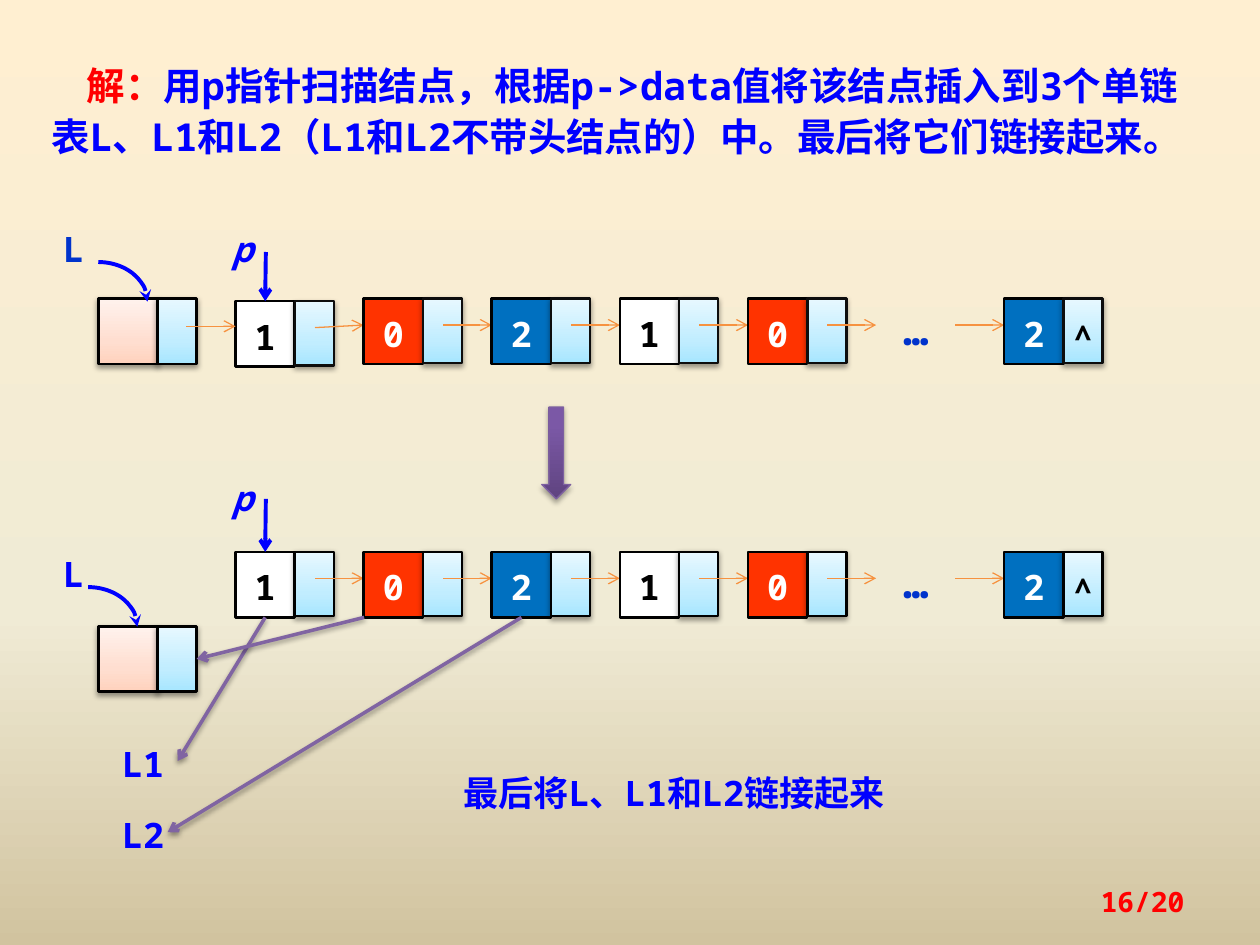
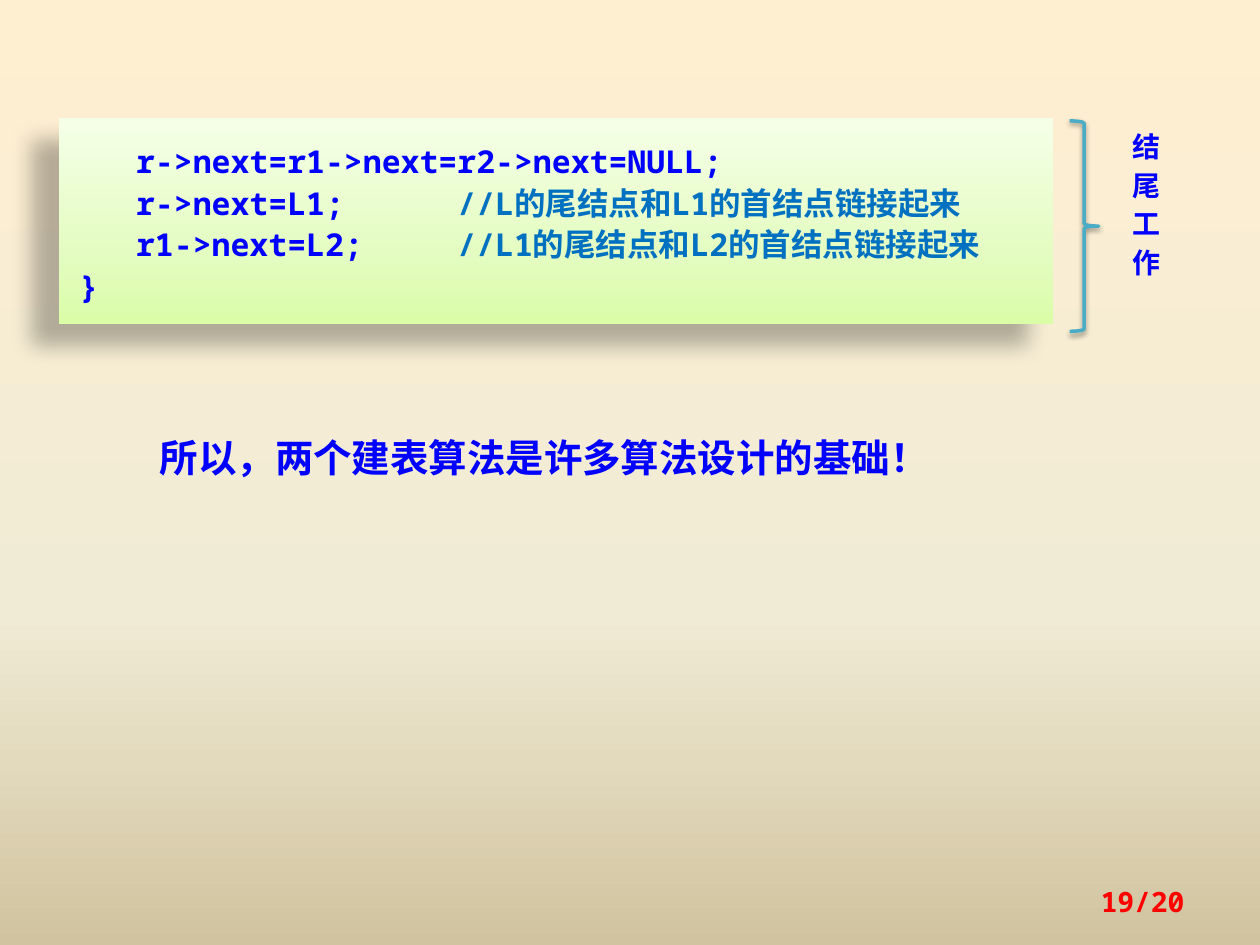
from lxml.etree import SubElement
from pptx import Presentation
from pptx.dml.color import RGBColor
from pptx.enum.shapes import MSO_CONNECTOR, MSO_SHAPE
from pptx.enum.text import MSO_ANCHOR, MSO_AUTO_SIZE, PP_ALIGN
from pptx.oxml.ns import qn
from pptx.util import Inches, Pt

MONO, CJK = "Noto Sans Mono", "Noto Sans CJK SC"
BLUE, DEEP_BLUE, COMMENT_BLUE, RED = "0000FF", "0033CC", "0070C0", "FF0000"
BLACK, WHITE, ORANGE, PURPLE = "000000", "FFFFFF", "F69240", "8064A2"
SAND = [(0, "FFEFD1"), (65, "F0EBD5"), (100, "D1C39F")]
SKY = [(0, "A7E6FF"), (35, "C1EDFF"), (100, "E7F8FF")]
PEACH = [(0, "FFD2BD"), (35, "FFDED0"), (100, "FFF2ED")]
VIOLET = [(0, "5F4480"), (80, "7B58A6"), (100, "7C57A8")]
LIME = [(0, "DAFDA7"), (35, "E4FCC2"), (100, "F5FFE7")]
SOFT = (38, 3.1, 1.6, 90)  # shadow: opacity %, blur pt, distance pt, angle


def paint(host, fill=None, line=None, width=1.5, shadow=None, tail=None, angle=90):
    """Fill, outline, arrowhead and shadow of a shape, connector or background."""
    if isinstance(fill, str):
        host.fill.solid()
        host.fill.fore_color.rgb = RGBColor.from_string(fill)
    elif fill:
        host.fill.gradient()
        host.fill.gradient_angle = angle
        stops = next(host._element.iter(qn("a:gsLst")))
        for stop in list(stops):
            stops.remove(stop)
        for position, colour in fill:
            stop = SubElement(stops, qn("a:gs"), pos=str(position * 1000))
            SubElement(stop, qn("a:srgbClr"), val=colour)
    elif hasattr(host, "fill"):
        host.fill.background()
    if not hasattr(host, "line"):
        return
    if line:
        host.line.color.rgb = RGBColor.from_string(line)
        host.line.width = Pt(width)
    else:
        host.line.fill.background()
    if tail:
        SubElement(host.line._get_or_add_ln(), qn("a:tailEnd"), type=tail)
    effects = SubElement(host._element.spPr, qn("a:effectLst"))
    if shadow:
        opacity, blur, distance, direction = shadow
        outer = SubElement(effects, qn("a:outerShdw"), blurRad=str(Pt(blur)), dist=str(Pt(distance)),
                           dir=str(direction * 60000), algn="ctr", rotWithShape="0")
        colour = SubElement(outer, qn("a:srgbClr"), val=BLACK)
        SubElement(colour, qn("a:alpha"), val=str(opacity * 1000))


def write(shape, paragraphs, size, align=PP_ALIGN.LEFT, anchor=MSO_ANCHOR.TOP, font=MONO,
          margins=(0.1, 0.05, 0.1, 0.05), spacing=1.1, grow=True, italic=False):
    """Each paragraph is a list of (text, colour) runs."""
    frame = shape.text_frame
    frame.word_wrap = True
    frame.vertical_anchor = anchor
    frame.auto_size = MSO_AUTO_SIZE.SHAPE_TO_FIT_TEXT if grow else MSO_AUTO_SIZE.NONE
    (frame.margin_left, frame.margin_top,
     frame.margin_right, frame.margin_bottom) = map(Inches, margins)
    for index, runs in enumerate(paragraphs):
        paragraph = frame.add_paragraph() if index else frame.paragraphs[0]
        paragraph.alignment = align
        paragraph.line_spacing = spacing
        for text, colour in runs:
            run = paragraph.add_run()
            run.text = text
            run.font.size = Pt(size)
            run.font.bold = True
            run.font.italic = italic
            run.font.name = font
            run.font.color.rgb = RGBColor.from_string(colour)
            SubElement(run._r.get_or_add_rPr(), qn("a:ea"), typeface=CJK)


prs = Presentation()
prs.slide_width, prs.slide_height = Inches(10), Inches(7.5)
paint(prs.slide_master.background, SAND, angle=270)
blank = prs.slide_layouts[6]
split_slide, ending_slide = prs.slides.add_slide(blank), prs.slides.add_slide(blank)
shapes = split_slide.shapes

# Slide 1: explanation
explanation = shapes.add_textbox(Inches(0.31), Inches(0.41), Inches(9.38), Inches(0.92))
write(explanation, [[
    ("解：", RED),
    ("用p指针扫描结点，根据p->data值将该结点插入到3个单链表L、L1和L2（L1和L2不带头结点的）中。最后将它们链接起来。", BLUE),
]], 22)
explanation.text_frame.paragraphs[0]._p.get_or_add_pPr().set("indent", str(Inches(0.28)))

# Slide 1: the linked list before and after splitting
VALUE_W, NEXT_W, CELL_H, NEXT_H = 0.47, 0.31, 0.52, 0.51
HEAD_X, FIRST_X, LAST_X = 0.78, 1.87, 7.97
PITCH = (LAST_X - FIRST_X) / 6
node_values = [1, 0, 2, 1, 0, None, 2]
value_colours = {0: ("FF3300", WHITE), 1: (WHITE, BLACK), 2: (COMMENT_BLUE, WHITE)}

# list top, drop of the first node, header top, L top, L colour, arc left, p top, p arrow top
list_states = [
    (2.37, 0.02, 2.37, 1.77, DEEP_BLUE, 0.39, 1.77, 2.0),
    (4.38, 0, 4.97, 4.35, BLUE, 0.31, 3.75, 3.96),
]
for top, drop, head_top, l_top, l_colour, arc_left, p_top, p_arrow_top in list_states:
    cell_nodes = {}
    for slot, value in enumerate(node_values):
        left = FIRST_X + slot * PITCH
        node_top = top if slot else top + drop
        if value is not None:
            value_cell = shapes.add_shape(MSO_SHAPE.RECTANGLE, Inches(left), Inches(node_top),
                                          Inches(VALUE_W), Inches(CELL_H))
            fill, ink = value_colours[value]
            paint(value_cell, fill, BLACK)
            write(value_cell, [[(str(value), ink)]], 20, PP_ALIGN.CENTER, MSO_ANCHOR.MIDDLE, grow=False)
            next_cell = shapes.add_shape(MSO_SHAPE.RECTANGLE, Inches(left + VALUE_W), Inches(node_top),
                                         Inches(NEXT_W), Inches(NEXT_H))
            paint(next_cell, SKY, "0D0D0D" if drop else BLACK, shadow=SOFT)
            cell_nodes[slot] = value_cell
        if slot < 6:
            link = shapes.add_connector(MSO_CONNECTOR.STRAIGHT, Inches(left + 0.63),
                                        Inches(node_top + 0.21), Inches(left + PITCH), Inches(top + 0.21))
            paint(link, line=ORANGE, width=0.75, tail="arrow")
    write(next_cell, [[("∧", BLACK)]], 16, PP_ALIGN.CENTER, MSO_ANCHOR.MIDDLE,
          margins=(0, 0.05, 0, 0.05), grow=False)

    # Header node and its pointer
    for left, width, fill in [(HEAD_X, VALUE_W, PEACH), (HEAD_X + VALUE_W, NEXT_W, SKY)]:
        head_cell = shapes.add_shape(MSO_SHAPE.RECTANGLE, Inches(left), Inches(head_top),
                                     Inches(width), Inches(CELL_H))
        paint(head_cell, fill, BLACK, shadow=SOFT)
    if head_top == top:
        head_link = shapes.add_connector(MSO_CONNECTOR.STRAIGHT, Inches(1.48), Inches(top + 0.22),
                                         Inches(FIRST_X), Inches(top + 0.22))
        paint(head_link, line=ORANGE, width=0.75, tail="arrow")
    head_arc = shapes.add_shape(MSO_SHAPE.ARC, Inches(arc_left), Inches(l_top + 0.31),
                                Inches(0.78), Inches(0.63))
    paint(head_arc, line=BLUE, width=2.25, tail="stealth")

    # Names and the scanning pointer
    for text, left, label_top, width, height, size, colour in [
        ("L", 0.39, l_top, 0.39, 0.37, 20, l_colour),
        ("p", 1.73, p_top, 0.39, 0.37, 20, BLUE),
        ("…", 6.92, top, 0.7, 0.44, 24, DEEP_BLUE),
    ]:
        label = shapes.add_textbox(Inches(left), Inches(label_top), Inches(width), Inches(height))
        write(label, [[(text, colour)]], size, PP_ALIGN.CENTER, margins=(0, 0, 0, 0), italic=text == "p")
    p_arrow = shapes.add_connector(MSO_CONNECTOR.STRAIGHT, Inches(2.11), Inches(p_arrow_top),
                                   Inches(2.11), Inches(top + drop))
    p_arrow.end_connect(cell_nodes[0], 0)
    paint(p_arrow, line=BLUE, width=2.25, tail="arrow")

# Slide 1: step arrow between the two states
step_arrow = shapes.add_shape(MSO_SHAPE.DOWN_ARROW, Inches(4.3), Inches(3.23), Inches(0.23), Inches(0.73))
paint(step_arrow, VIOLET, "7D60A0", 0.75, (35, 3.1, 1.8, 90))

# Slide 1: nodes sent to L, L1 and L2 (cells are those of the second state)
for text, label_top in [("L1", 5.86), ("L2", 6.42)]:
    list_label = shapes.add_textbox(Inches(0.94), Inches(label_top), Inches(0.39), Inches(0.37))
    write(list_label, [[(text, BLUE)]], 20, PP_ALIGN.CENTER, margins=(0, 0, 0, 0))
for start_x, end_x, end_y, source, target in [
    (2.11, 1.41, 6.04, cell_nodes[0], None),
    (2.89, 1.56, 5.23, None, head_cell),
    (4.14, 1.33, 6.6, cell_nodes[2], list_label),
]:
    move = shapes.add_connector(MSO_CONNECTOR.STRAIGHT, Inches(start_x), Inches(4.9),
                                Inches(end_x), Inches(end_y))
    if source is not None:
        move.begin_connect(source, 2)
    if target is not None:
        move.end_connect(target, 3)
    paint(move, line=PURPLE, width=2, shadow=SOFT, tail="arrow")

final_step = shapes.add_textbox(Inches(3.28), Inches(6.04), Inches(4.14), Inches(0.47))
write(final_step, [[("最后将L、L1和L2链接起来", BLUE)]], 20, PP_ALIGN.CENTER)

# Slide 2: code
shapes = ending_slide.shapes
code = shapes.add_shape(MSO_SHAPE.RECTANGLE, Inches(0.47), Inches(0.94), Inches(7.89), Inches(1.63))
paint(code, LIME, shadow=(28, 11.8, 19.7, 141))
write(code, [
    [("   r->next=r1->next=r2->next=NULL;", BLUE)],
    [("   r->next=L1;\t", BLUE), ("//L的尾结点和L1的首结点链接起来", COMMENT_BLUE)],
    [("   r1->next=L2;\t", BLUE), ("//L1的尾结点和L2的首结点链接起来", COMMENT_BLUE)],
    [("}", BLUE)],
], 18, margins=(0.16, 0.16, 0.1, 0.16))
for paragraph in code.text_frame.paragraphs[1:3]:
    tabs = SubElement(paragraph._p.get_or_add_pPr(), qn("a:tabLst"))
    SubElement(tabs, qn("a:tab"), pos=str(Inches(3)), algn="l")

# Slide 2: brace with its vertical caption
brace = shapes.add_shape(MSO_SHAPE.RIGHT_BRACE, Inches(8.49), Inches(0.96), Inches(0.23), Inches(1.67))
paint(brace, line="4BACC6", width=2, shadow=SOFT)
caption = shapes.add_textbox(Inches(8.82), Inches(0.96), Inches(0.48), Inches(1.67))
write(caption, [[("结尾工作", BLUE)]], 16, PP_ALIGN.CENTER, font=CJK)
caption.text_frame._txBody.bodyPr.set("vert", "eaVert")
caption.text_frame.paragraphs[0].runs[0]._r.get_or_add_rPr().set("spc", "600")

# Slide 2: conclusion
conclusion = shapes.add_textbox(Inches(1.17), Inches(3.36), Inches(6.02), Inches(0.48))
write(conclusion, [[("所以，两个建表算法是许多算法设计的基础！", BLUE)]], 22, font=CJK)

# Page numbers
for slide, number in [(split_slide, 16), (ending_slide, 19)]:
    page = slide.shapes.add_textbox(Inches(7.17), Inches(6.95), Inches(2.33), Inches(0.4))
    write(page, [[(f"{number}/20", RED)]], 16, PP_ALIGN.RIGHT, MSO_ANCHOR.MIDDLE, spacing=1.0, grow=False)

prs.save("out.pptx")
